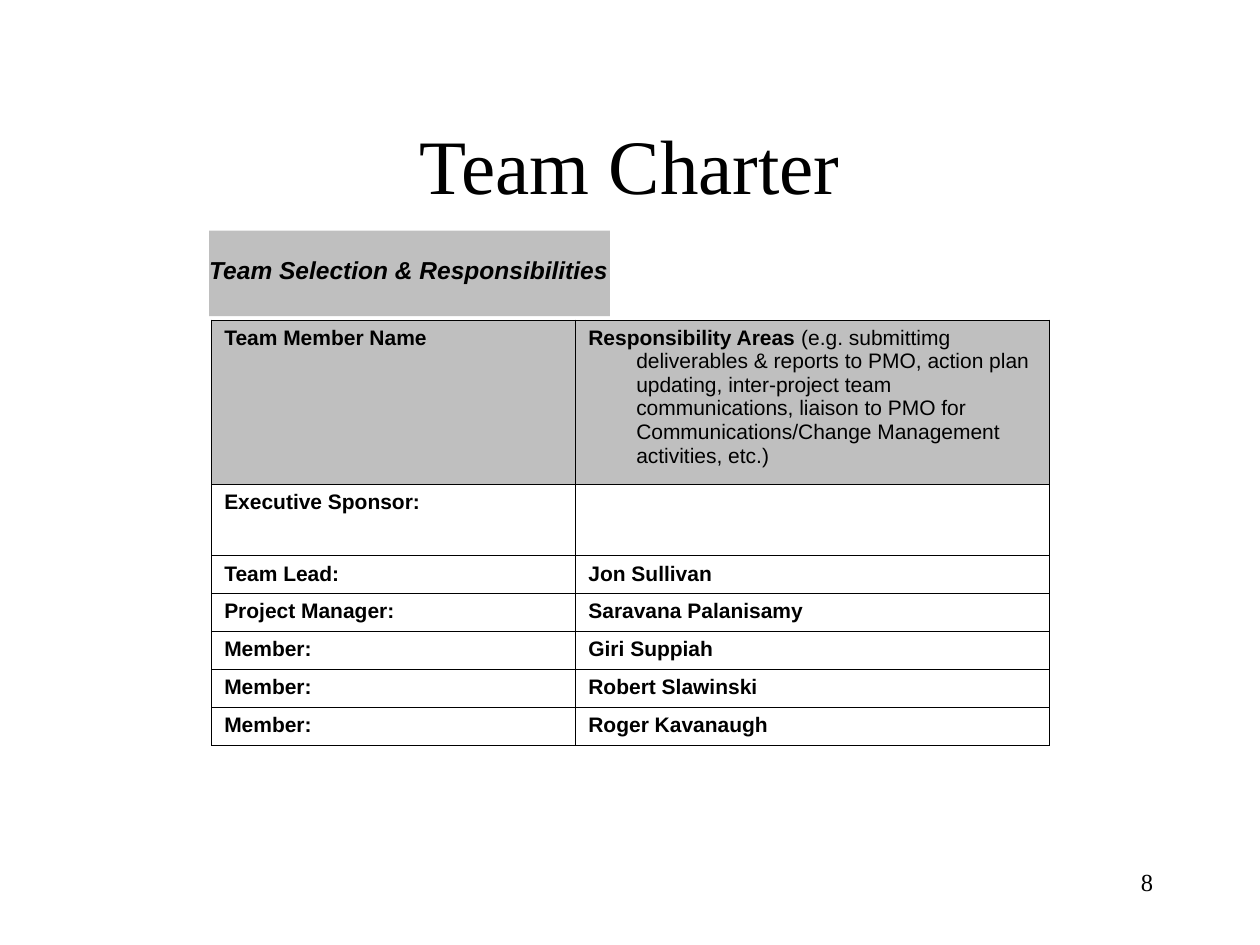
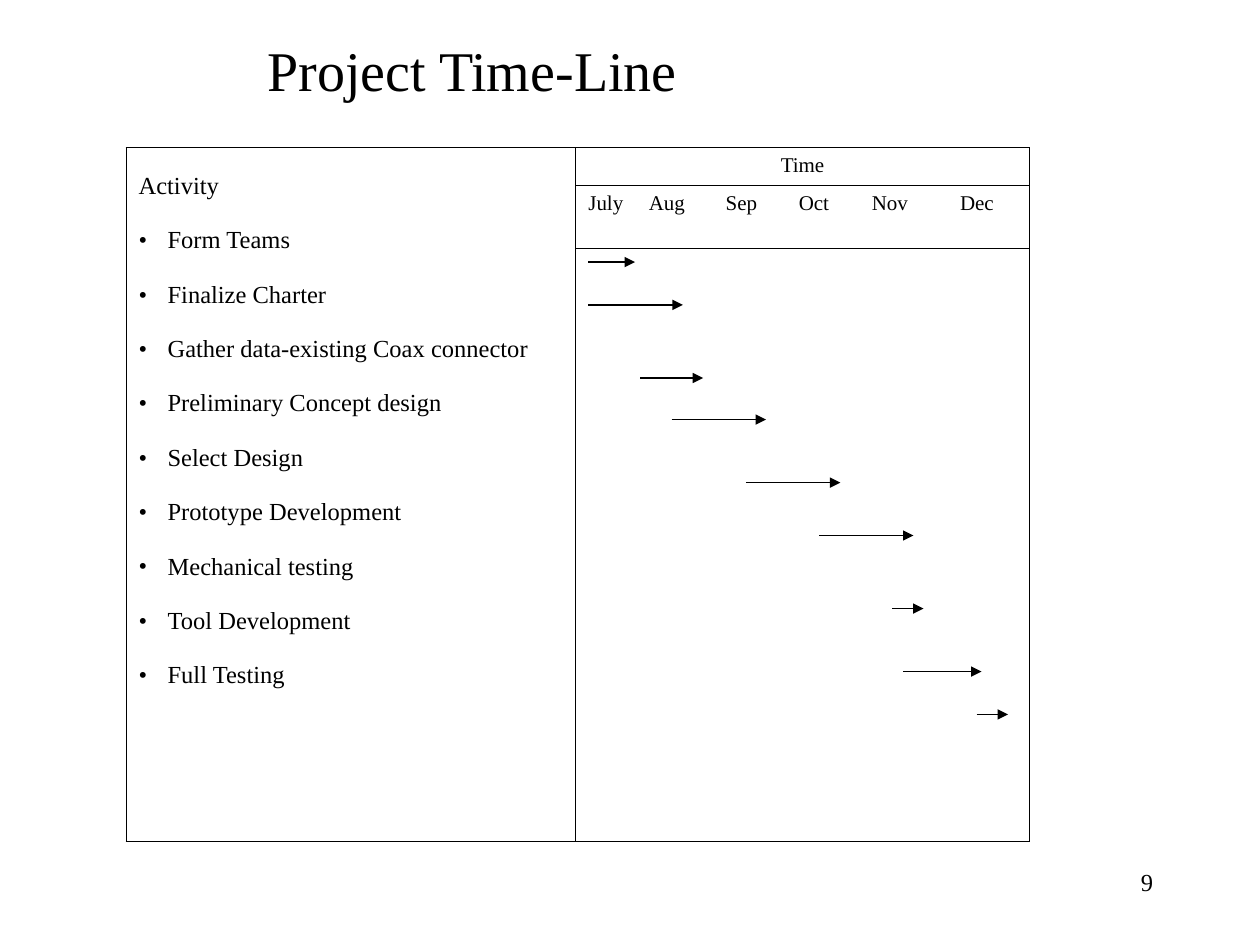
"""Build the team charter and project time-line slides."""
from lxml import etree
from pptx import Presentation
from pptx.dml.color import RGBColor
from pptx.enum.shapes import MSO_CONNECTOR, MSO_SHAPE
from pptx.enum.text import MSO_ANCHOR, PP_ALIGN
from pptx.oxml.ns import qn
from pptx.util import Inches, Pt

STRAIGHT = MSO_CONNECTOR.STRAIGHT
RECTANGLE = MSO_SHAPE.RECTANGLE
TOP, MIDDLE = MSO_ANCHOR.TOP, MSO_ANCHOR.MIDDLE
LEFT, CENTER, RIGHT = PP_ALIGN.LEFT, PP_ALIGN.CENTER, PP_ALIGN.RIGHT
BLACK, GREY = "000000", "BFBFBF"
SERIF, SANS = "Times New Roman", "Arial"


def style(frame, size, face, align=LEFT, bold=False, italic=False):
    """Format every paragraph and run of a text frame."""
    for paragraph in frame.paragraphs:
        paragraph.alignment = align
        for run in paragraph.runs:
            run.font.size = Pt(size)
            run.font.name = face
            run.font.bold = bold
            run.font.italic = italic
            run.font.color.rgb = RGBColor.from_string(BLACK)


def add_grid(slide, left, top, widths, heights):
    """Add an unfilled table with thin black borders."""
    grid = slide.shapes.add_table(len(heights), len(widths), Inches(left), Inches(top),
                                  Inches(sum(widths)), Inches(sum(heights))).table
    grid.first_row = grid.horz_banding = False
    for column, width in zip(grid.columns, widths):
        column.width = Inches(width)
    for row, height in zip(grid.rows, heights):
        row.height = Inches(height)
    for cell in grid.iter_cells():
        properties = cell._tc.get_or_add_tcPr()
        for side in ("a:lnL", "a:lnR", "a:lnT", "a:lnB"):
            border = etree.SubElement(properties, qn(side), w=str(Pt(0.45)))
            paint = etree.SubElement(border, qn("a:solidFill"))
            etree.SubElement(paint, qn("a:srgbClr"), val=BLACK)
        cell.fill.background()
    return grid


deck = Presentation()
deck.slide_width, deck.slide_height = Inches(10), Inches(7.5)
charter, timeline = [deck.slides.add_slide(deck.slide_layouts[6]) for _ in range(2)]

captions = [
    (charter, "Team Charter", (0.75, 0.67, 8.5, 1.25), 44, CENTER, MIDDLE, 0.05),
    (timeline, "Project Time-Line", (0, 0.17, 7.5, 0.64), 32, CENTER, TOP, 0.11),
    (charter, "8", (7.17, 6.83, 2.08, 0.5), 14, RIGHT, TOP, 0.05),
    (timeline, "9", (7.17, 6.83, 2.08, 0.5), 14, RIGHT, TOP, 0.05),
]
for slide, text, place, size, align, anchor, inset in captions:
    frame = slide.shapes.add_textbox(*map(Inches, place)).text_frame
    frame.word_wrap = True
    frame.vertical_anchor = anchor
    frame.margin_top = Inches(inset)
    frame.text = text
    style(frame, size, SERIF, align)

heading = charter.shapes.add_shape(RECTANGLE, Inches(1.66), Inches(1.83), Inches(3.18), Inches(0.68))
heading.shadow.inherit = False
heading.fill.solid()
heading.fill.fore_color.rgb = RGBColor.from_string(GREY)
heading.line.fill.background()
frame = heading.text_frame
frame.word_wrap = False
frame.vertical_anchor = TOP
frame.margin_left = frame.margin_right = 0
frame.margin_top = Inches(0.19)
frame.text = "Team Selection & Responsibilities"
style(frame, 14, SANS, bold=True, italic=True)

members = [
    ("Team Member Name", "Responsibility Areas "),
    ("Executive Sponsor:", ""),
    ("Team Lead:", "Jon Sullivan"),
    ("Project Manager:", "Saravana Palanisamy"),
    ("Member:", "Giri Suppiah"),
    ("Member:", "Robert Slawinski"),
    ("Member:", "Roger Kavanaugh"),
]
duties = ("(e.g. submittimg deliverables & reports to PMO, action plan updating, "
          "inter-project team communications, liaison to PMO for "
          "Communications/Change Management activities, etc.)")
roster = add_grid(charter, 1.68, 2.54, [2.89, 3.76], [1.3, 0.57] + [0.3] * 5)
for row, entries in enumerate(members):
    for column, entry in enumerate(entries):
        cell = roster.cell(row, column)
        cell.text_frame.text = entry
        style(cell.text_frame, 12, SANS, bold=True)
        indent = cell.text_frame.paragraphs[0]._p.get_or_add_pPr()
        indent.set("marL", str(Inches(0.38)))
        indent.set("indent", str(Inches(-0.38)))
        if row == 0:
            cell.fill.solid()
            cell.fill.fore_color.rgb = RGBColor.from_string(GREY)
areas = roster.cell(0, 1).text_frame
areas.paragraphs[0].add_run().text = duties
style(areas, 12, SANS)
areas.paragraphs[0].runs[0].font.bold = True

schedule = add_grid(timeline, 1, 1.17, [3.57, 3.6], [0.3, 0.5, 4.71])
schedule.cell(0, 0).merge(schedule.cell(2, 0))
activities = ["Activity", "Form Teams", "Finalize Charter", "Gather data-existing Coax connector",
              "Preliminary Concept design", "Select Design", "Prototype Development",
              "Mechanical testing", "Tool Development", "Full Testing"]
schedule.cell(0, 0).margin_top = Inches(0.2)
frame = schedule.cell(0, 0).text_frame
frame.text = "\n".join(activities)
for paragraph in frame.paragraphs[1:]:
    paragraph.space_before = Pt(15.6)
    properties = paragraph._p.get_or_add_pPr()
    properties.set("marL", str(Inches(0.23)))
    properties.set("indent", str(Inches(-0.23)))
    etree.SubElement(properties, qn("a:buFont"), typeface=SERIF)
    etree.SubElement(properties, qn("a:buChar"), char="•")
style(frame, 14, SERIF)

frame = schedule.cell(0, 1).text_frame
frame.text = "Time"
style(frame, 12, SERIF, CENTER)

frame = schedule.cell(1, 1).text_frame
frame.text = "\t".join(["July", "Aug", "Sep", "Oct", "Nov", "Dec"])
stops = etree.SubElement(frame.paragraphs[0]._p.get_or_add_pPr(), qn("a:tabLst"))
for offset in (0.48, 1.09, 1.67, 2.25, 2.95):
    etree.SubElement(stops, qn("a:tab"), pos=str(Inches(offset)), algn="l")
style(frame, 12, SERIF)

periods = [
    (4.67, 5.04, 2.08), (4.67, 5.42, 2.42), (5.08, 5.58, 3),
    (5.33, 6.08, 3.33), (5.92, 6.67, 3.83), (6.5, 7.25, 4.25),
    (7.08, 7.33, 4.83), (7.17, 7.79, 5.33), (7.75, 8, 5.67),
]
for start, end, height in periods:
    arrow = timeline.shapes.add_connector(STRAIGHT, Inches(start), Inches(height),
                                          Inches(end), Inches(height))
    arrow.line.width = Pt(0.75)
    arrow.line.color.rgb = RGBColor.from_string(BLACK)
    properties = arrow._element.spPr
    etree.SubElement(properties.find(qn("a:ln")), qn("a:tailEnd"), type="triangle")
    etree.SubElement(properties, qn("a:effectLst"))

deck.save("out.pptx")
